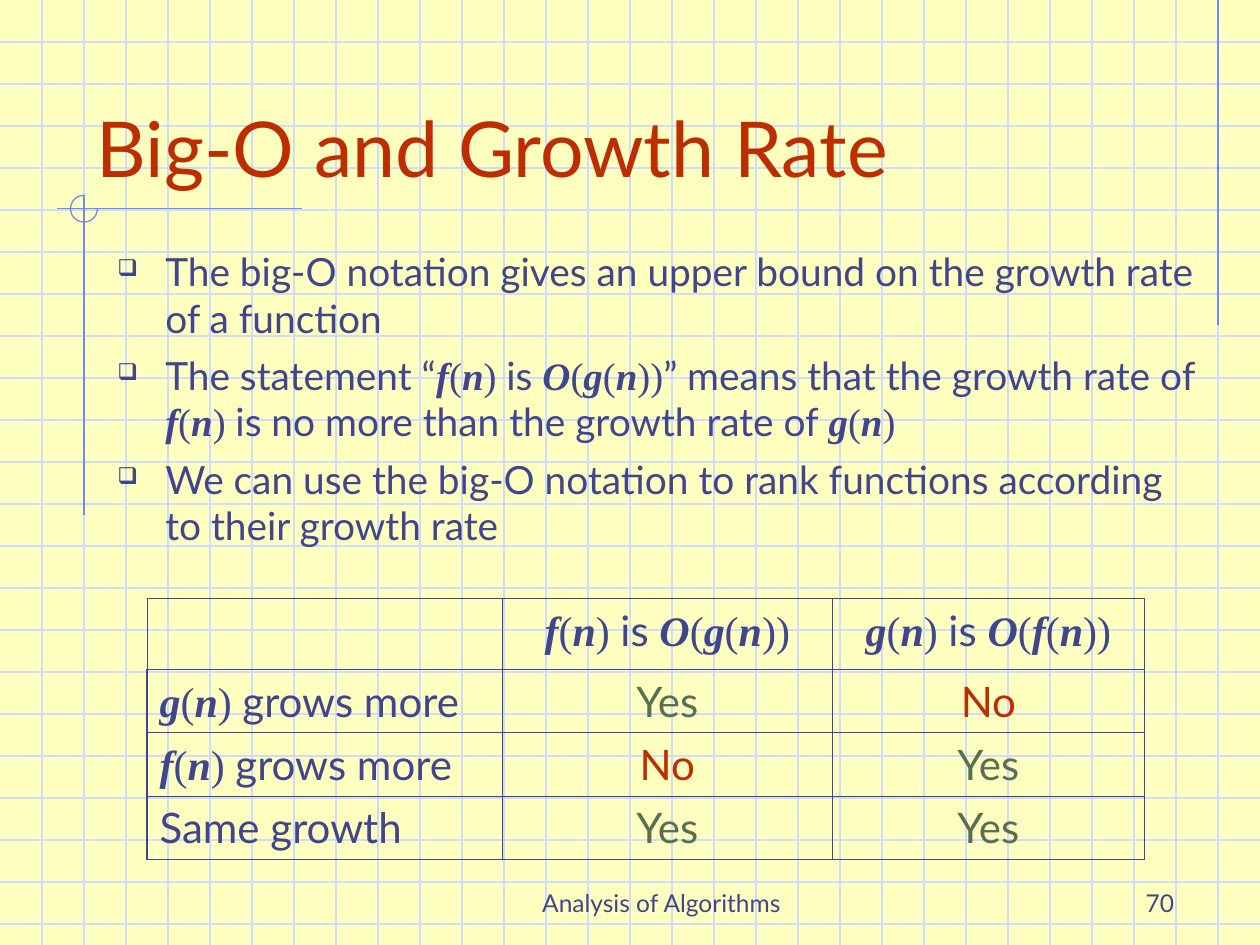
import itertools

import pptx
import pptx.dml.color
import pptx.enum.shapes
import pptx.enum.text
import pptx.oxml
import pptx.oxml.ns
import pptx.util

ALIGN = pptx.enum.text.PP_ALIGN
ANCHOR = pptx.enum.text.MSO_ANCHOR
NAMESPACE = pptx.oxml.ns.nsdecls("a")

INK, RED, GREEN = "40458C", "BE2D00", "577052"
PAPER, GRID, ACCENT = "FFFFBF", "CFDBFD", "6F89F7"
COLUMNS, ROWS = 30, 22.5
THIN, THICK = 0.45, 1.08


def color(value):
    return pptx.dml.color.RGBColor.from_string(value)


def grid(*counts):
    return [pptx.util.Inches(count / 3) for count in counts]


class SlideBuilder:
    font = "Lato"
    math_font = "Times New Roman"

    def __init__(self, presentation):
        self.slide = presentation.slides.add_slide(presentation.slide_layouts[5])
        self.slide.background.fill.solid()
        self.slide.background.fill.fore_color.rgb = color(PAPER)

    def add_text(self, paragraph, text, size, ink=INK, align=ALIGN.LEFT):
        paragraph.alignment = align
        for index, part in enumerate(text.split("$")):
            is_math = index % 2 == 1
            if is_math:
                for is_letter, letters in itertools.groupby(part, str.isalpha):
                    self.add_run(paragraph, "".join(letters), size, ink, self.math_font, is_letter)
            elif part:
                self.add_run(paragraph, part, size, ink, self.font)

    def add_run(self, paragraph, text, size, ink, font, emphasis=False):
        run = paragraph.add_run()
        run.text = text
        run.font.name = font
        run.font.size = pptx.util.Pt(size)
        run.font.color.rgb = color(ink)
        run.font.bold = run.font.italic = emphasis

    def line(self, start_column, start_row, end_column, end_row, ink):
        connector = self.slide.shapes.add_connector(
            pptx.enum.shapes.MSO_CONNECTOR.STRAIGHT,
            *grid(start_column, start_row, end_column, end_row))
        connector.line.color.rgb = color(ink)
        connector.line.width = pptx.util.Pt(0.75)
        connector.element.spPr.append(pptx.oxml.parse_xml(f"<a:effectLst {NAMESPACE}/>"))

    def arc(self, column, row, diameter, end_angle, ink):
        shape = self.slide.shapes.add_shape(
            pptx.enum.shapes.MSO_SHAPE.ARC, *grid(column, row, diameter, diameter))
        shape.adjustments[0] = 0
        shape.adjustments[1] = end_angle * 0.6
        shape.shadow.inherit = False
        shape.fill.background()
        shape.line.color.rgb = color(ink)
        shape.line.width = pptx.util.Pt(0.75)

    def title(self, text, column, row, width, height):
        title = self.slide.shapes.title
        title.left, title.top, title.width, title.height = grid(column, row, width, height)
        frame = title.text_frame
        frame.auto_size = pptx.enum.text.MSO_AUTO_SIZE.NONE
        frame.vertical_anchor = ANCHOR.BOTTOM
        self.add_text(frame.paragraphs[0], text, 44, RED)
        title.element.getparent().append(title.element)

    def text_box(self, column, row, width, height, anchor):
        box = self.slide.shapes.add_textbox(*grid(column, row, width, height))
        box.text_frame.word_wrap = True
        box.text_frame.vertical_anchor = anchor
        return box.text_frame

    def label(self, text, column, row, width, height, align):
        frame = self.text_box(column, row, width, height, ANCHOR.BOTTOM)
        self.add_text(frame.paragraphs[0], text, 14, align=align)

    def bullets(self, texts, column, row, width, height):
        frame = self.text_box(column, row, width, height, ANCHOR.TOP)
        indent = pptx.util.Inches(0.38)
        for index, text in enumerate(texts):
            paragraph = frame.add_paragraph() if index else frame.paragraphs[0]
            paragraph.space_before = pptx.util.Pt(6 if index else 0)
            properties = paragraph._p.get_or_add_pPr()
            properties.set("marL", str(indent))
            properties.set("indent", str(-indent))
            for xml in (f'<a:buClr {NAMESPACE}><a:srgbClr val="{INK}"/></a:buClr>',
                        f'<a:buSzPct {NAMESPACE} val="60000"/>',
                        f'<a:buChar {NAMESPACE} char="❑"/>'):
                properties.append(pptx.oxml.parse_xml(xml))
            self.add_text(paragraph, text, 22.2)

    def table(self, rows, column, row, widths, heights):
        frame = self.slide.shapes.add_table(
            len(rows), len(widths), *grid(column, row, sum(widths), sum(heights)))
        table = frame.table
        table.first_row = table.horz_banding = False
        for table_column, width in zip(table.columns, grid(*widths)):
            table_column.width = width
        for table_row, height in zip(table.rows, grid(*heights)):
            table_row.height = height
        last_row, last_column = len(rows) - 1, len(widths) - 1
        inks = {"Yes": GREEN, "No": RED}
        for r, texts in enumerate(rows):
            for c, text in enumerate(texts):
                cell = table.cell(r, c)
                cell.fill.background()
                self.borders(cell, {"L": c == 0 and r > 0, "R": c == last_column,
                                    "T": r == 0, "B": r == last_row})
                self.add_text(cell.text_frame.paragraphs[0], text, 24, inks.get(text, INK),
                              ALIGN.CENTER if c else ALIGN.LEFT)

    def borders(self, cell, thick_sides):
        properties = cell._tc.get_or_add_tcPr()
        for index, (side, is_thick) in enumerate(thick_sides.items()):
            width = pptx.util.Pt(THICK if is_thick else THIN)
            properties.insert(index, pptx.oxml.parse_xml(
                f'<a:ln{side} {NAMESPACE} w="{width}"><a:solidFill>'
                f'<a:srgbClr val="{INK}"/></a:solidFill></a:ln{side}>'))


def main():
    presentation = pptx.Presentation()
    presentation.slide_width, presentation.slide_height = grid(COLUMNS, ROWS)
    builder = SlideBuilder(presentation)

    for row in range(1, 23):
        builder.line(0, row, COLUMNS, row, GRID)
    for column in range(1, COLUMNS):
        builder.line(column, 0, column, ROWS, GRID)
    builder.line(29, 0, 29, 7.75, ACCENT)
    builder.line(7.2, 4.97, 1.35, 4.97, ACCENT)
    builder.line(2, 4.65, 2, 12.27, ACCENT)
    builder.arc(1.68, 4.65, 0.64, 270, ACCENT)

    builder.label("Analysis of Algorithms", 11, 20.5, 9.5, 1.5, ALIGN.CENTER)
    builder.label("70", 22, 20.5, 6.25, 1.5, ALIGN.RIGHT)
    builder.title("Big-O and Growth Rate", 2, 1, 25.5, 3.75)
    builder.bullets([
        "The big-O notation gives an upper bound on the growth rate of a function",
        "The statement “$f(n) $is $O(g(n))$” means that the growth rate of "
        "$f(n) $is no more than the growth rate of $g(n)$",
        "We can use the big-O notation to rank functions according to their growth rate",
    ], 2.5, 5.75, 26.25, 8.5)
    builder.table([
        ["", "$f(n) $is $O(g(n))$", "$g(n) $is $O(f(n))$"],
        ["$g(n) $grows more", "Yes", "No"],
        ["$f(n) $grows more", "No", "Yes"],
        ["Same growth", "Yes", "Yes"],
    ], 3.5, 14.25, [8.46, 7.86, 7.43], [1.69, 1.51, 1.51, 1.51])

    presentation.save("out.pptx")


if __name__ == "__main__":
    main()
